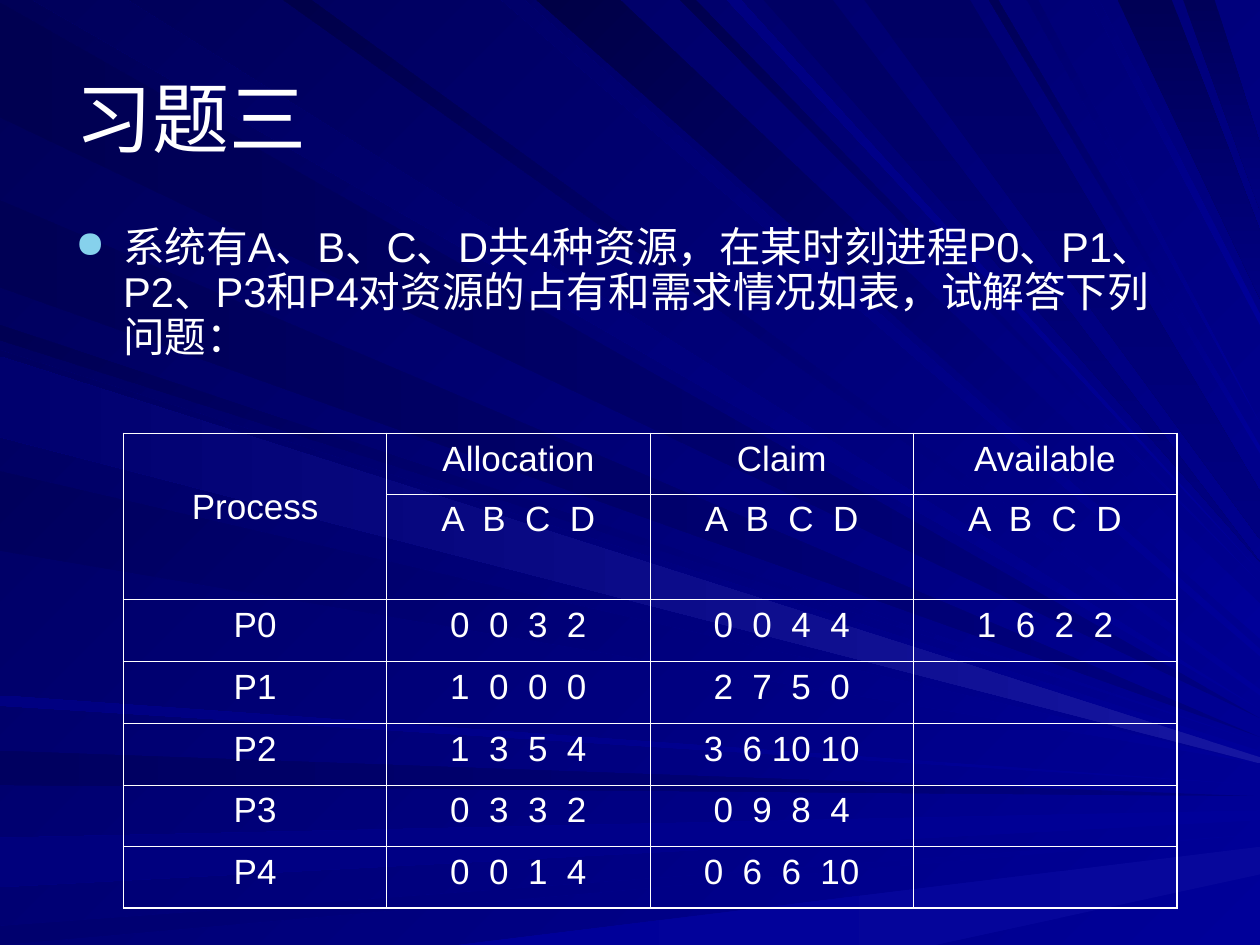
from lxml.etree import SubElement
from pptx import Presentation
from pptx.dml.color import RGBColor
from pptx.enum.text import MSO_ANCHOR, PP_ALIGN
from pptx.oxml.ns import qn
from pptx.util import Pt

PX = 9144  # EMU per px, 100 px to the inch
WIDE, HIGH = 1000, 750
FONT, WHITE = "Arial", "FFFFFF"

TITLE = "习题三"
BODY = ("系统有A、B、C、D共4种资源，在某时刻进程P0、P1、P2、P3和P4"
        "对资源的占有和需求情况如表，试解答下列问题：")
KINDS = "A  B  C  D"
ROWS = [
    ("Process", "Allocation", "Claim", "Available"),
    ("", KINDS, KINDS, KINDS),
    ("P0", "0  0  3  2", "0  0  4  4", "1  6  2  2"),
    ("P1", "1  0  0  0", "2  7  5  0", ""),
    ("P2", "1  3  5  4", "3  6 10 10", ""),
    ("P3", "0  3  3  2", "0  9  8  4", ""),
    ("P4", "0  0  1  4", "0  6  6  10", ""),
]
HEIGHTS = [48, 84] + [49] * 5
COL = 209

# Backdrop rays, back to front: each runs from a stretch of one edge
# to one or two heights on the right edge
BLUE, NAVY = "000099", "000080"
FLAT, SLANT, DROP = 180, 225, 90
RAYS = [
    ("left", FLAT, NAVY, "000051", 2, 93, 570),
    ("top", SLANT, BLUE, "00005C", 101, 26, 563),
    ("left", FLAT, NAVY, "000060", 596, 623, 632),
    ("left", FLAT, BLUE, "00007C", 665, 704, 651, 643),
    ("left", FLAT, BLUE, "00006E", 735, 750, 662),
    ("base", FLAT, "07079B", BLUE, 364, 742, 694, 672),
    ("left", SLANT, BLUE, "000053", 258, 270, 589),
    ("left", FLAT, NAVY, "000055", 159, 228, 585),
    ("top", SLANT, BLUE, "00006A", 416, 398, 521, 515),
    ("top", SLANT, BLUE, "000046", 492, 426, 507, 479),
    ("top", SLANT, BLUE, "00004E", 552, 540, 463),
    ("top", DROP, "000064", NAVY, 661, 606, 446),
    ("top", DROP, "000055", NAVY, 930, 887, 237, 183),
    ("top", DROP, "000059", NAVY, 964, 939, 167, 114),
    ("left", SLANT, BLUE, "000060", 278, 342, 602, 596),
    ("left", SLANT, BLUE, "00005C", 374, 437, 606),
    ("left", FLAT, BLUE, "000081", 552, 560, 623),
    ("top", SLANT, BLUE, "00004A", 247, 225, 552, 547),
    ("top", SLANT, BLUE, "000081", 588, 577, 454),
    ("top", DROP, "000064", NAVY, 770, 686, 428, 390),
    ("top", SLANT, BLUE, "000057", 792, 785, 360, 354),
    ("top", SLANT, BLUE, "00006E", 824, 815, 336),
    ("top", SLANT, BLUE, "000078", 872, 865, 258, 249),
    ("left", FLAT, "1616A1", "00006E", 283, 347, 606, 601),
]


def tint(color, code):
    color.rgb = RGBColor.from_string(code)


def paint(fill, angle, first, last):
    fill.gradient()
    fill.gradient_angle = 360 - angle
    for stop, code in zip(fill.gradient_stops, (first, last)):
        tint(stop.color, code)


def add_ray(slide, edge, angle, first, last, near, far, *tips):
    spot = {"left": lambda n: (0, n), "top": lambda n: (n, 0), "base": lambda n: (n, HIGH)}[edge]
    path = slide.shapes.build_freeform(*spot(near), scale=PX)
    path.add_line_segments([spot(far)] + [(WIDE, tip) for tip in tips], close=True)
    ray = path.convert_to_shape()
    ray.shadow.inherit = False
    ray.line.fill.background()
    paint(ray.fill, angle, first, last)


def write(para, text, size):
    run = para.add_run()
    run.text = text
    run.font.name, run.font.size = FONT, Pt(size)
    tint(run.font.color, WHITE)


def add_text(slide, box, text, size):
    frame = slide.shapes.add_textbox(*(n * PX for n in box)).text_frame
    frame.word_wrap = True
    write(frame.paragraphs[0], text, size)
    return frame


def add_bullet(para, mark, code, share):
    props = para._p.get_or_add_pPr()
    props.set("marL", str(38 * PX))
    props.set("indent", str(-38 * PX))
    color = SubElement(props, qn("a:buClr"))
    SubElement(color, qn("a:srgbClr"), val=code)
    SubElement(props, qn("a:buSzPct"), val=str(share * 1000))
    SubElement(props, qn("a:buChar"), char=mark)


def add_edges(cell, outer):
    props = cell._tc.get_or_add_tcPr()
    for side in "LRTB":
        width = Pt(1.08 if side in outer else 0.45)
        line = SubElement(props, qn("a:ln" + side), w=str(width))
        fill = SubElement(line, qn("a:solidFill"))
        SubElement(fill, qn("a:srgbClr"), val=WHITE)


def add_grid(slide):
    rows, cols = len(ROWS), len(ROWS[0])
    box = (98, 344, COL * cols, sum(HEIGHTS))
    table = slide.shapes.add_table(rows, cols, *(n * PX for n in box)).table
    table.first_row = table.horz_banding = False
    for col in table.columns:
        col.width = COL * PX
    for r, (row, high) in enumerate(zip(ROWS, HEIGHTS)):
        table.rows[r].height = high * PX
        for c, text in enumerate(row):
            cell = table.cell(r, c)
            ends = {"L": c == 0, "R": c == cols - 1, "T": r == 0, "B": r == rows - 1}
            add_edges(cell, [side for side, end in ends.items() if end])
            cell.fill.background()
            if text:
                para = cell.text_frame.paragraphs[0]
                para.alignment = PP_ALIGN.CENTER
                write(para, text, 20)
    # Process spans both heading rows
    head = table.cell(0, 0)
    head.merge(table.cell(1, 0))
    head.margin_top = 43 * PX


def main():
    deck = Presentation()
    deck.slide_width, deck.slide_height = WIDE * PX, HIGH * PX
    slide = deck.slides.add_slide(deck.slide_layouts[6])

    # Backdrop
    paint(slide.background.fill, SLANT, BLUE, "000057")
    for ray in RAYS:
        add_ray(slide, *ray)

    # Title and question
    title = add_text(slide, (50, 30, 900, 125), TITLE, 44)
    title.vertical_anchor = MSO_ANCHOR.MIDDLE
    para = add_text(slide, (50, 175, 900, 137), BODY, 23.8).paragraphs[0]
    add_bullet(para, "●", "86D1EC", 90)
    para.line_spacing = 0.9

    # Resource table
    add_grid(slide)
    deck.save("out.pptx")


if __name__ == "__main__":
    main()
